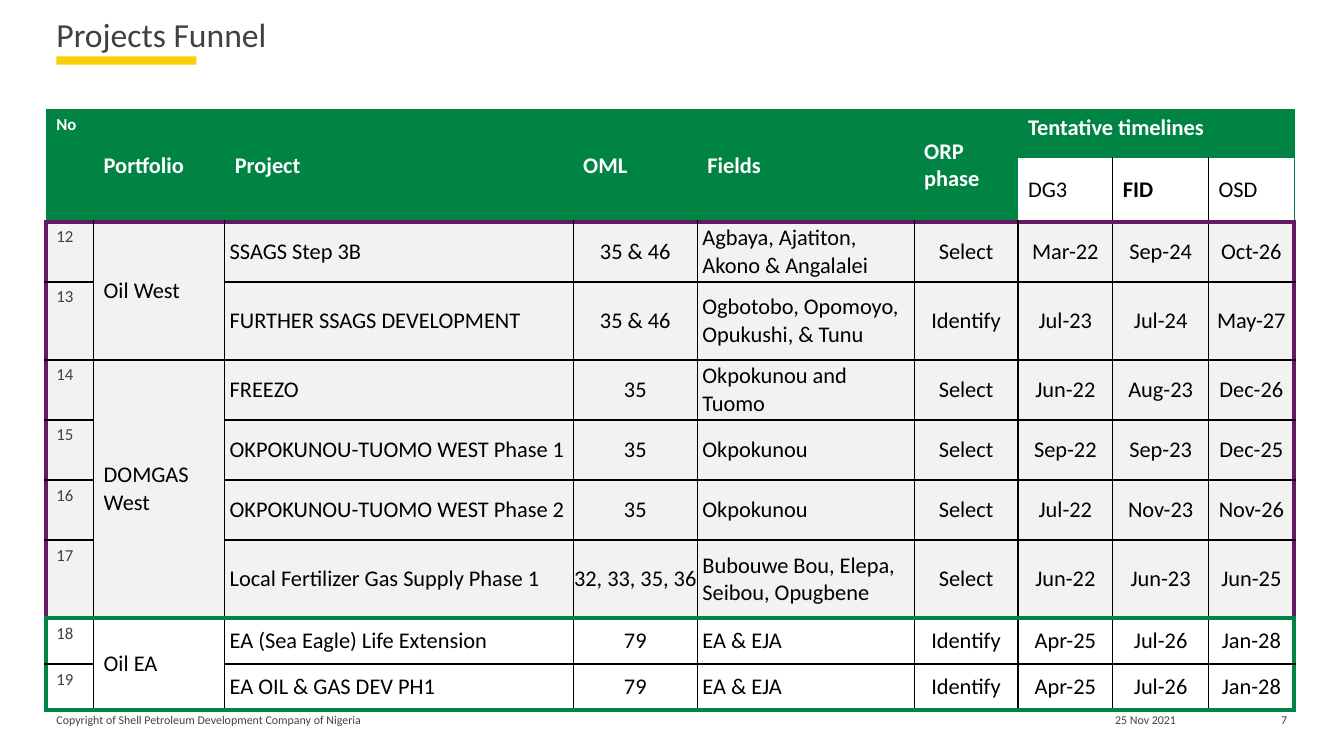
from lxml import etree
from pptx import Presentation
from pptx.dml.color import RGBColor
from pptx.enum.shapes import MSO_SHAPE
from pptx.enum.text import MSO_ANCHOR, MSO_AUTO_SIZE, PP_ALIGN
from pptx.oxml.ns import qn
from pptx.util import Pt

LEFT, CENTER, RIGHT = PP_ALIGN.LEFT, PP_ALIGN.CENTER, PP_ALIGN.RIGHT
TOP, MIDDLE = MSO_ANCHOR.TOP, MSO_ANCHOR.MIDDLE
FONT = "Calibri"
NO_STYLE = "{2D5ABB26-0587-4C30-8999-92F81FD0307C}"
COLORS = {
    "green": "008443", "purple": "641964", "yellow": "FBCE07", "band": "F2F2F2",
    "white": "FFFFFF", "black": "000000", "grey": "404040",
}

TITLE = "Projects Funnel"
HEADERS = ["No", "Portfolio", "Project", "OML", "Fields", "ORP phase"]
TIMELINES = "Tentative timelines"
GATES = ["DG3", "FID", "OSD"]
PORTFOLIOS = [("Oil West", 2), ("DOMGAS West", 4), ("Oil EA", 2)]
PROJECTS = [
    ("SSAGS Step 3B", "35 & 46", "Agbaya, Ajatiton, Akono & Angalalei",
     "Select", "Mar-22", "Sep-24", "Oct-26"),
    ("FURTHER SSAGS DEVELOPMENT", "35 & 46", "Ogbotobo, Opomoyo, Opukushi, & Tunu",
     "Identify", "Jul-23", "Jul-24", "May-27"),
    ("FREEZO", "35", "Okpokunou and Tuomo", "Select", "Jun-22", "Aug-23", "Dec-26"),
    ("OKPOKUNOU-TUOMO WEST Phase 1", "35", "Okpokunou",
     "Select", "Sep-22", "Sep-23", "Dec-25"),
    ("OKPOKUNOU-TUOMO WEST Phase 2", "35", "Okpokunou",
     "Select", "Jul-22", "Nov-23", "Nov-26"),
    ("Local Fertilizer Gas Supply Phase 1", "32, 33, 35, 36",
     "Bubouwe Bou, Elepa, Seibou, Opugbene", "Select", "Jun-22", "Jun-23", "Jun-25"),
    ("EA (Sea Eagle) Life Extension", "79", "EA & EJA",
     "Identify", "Apr-25", "Jul-26", "Jan-28"),
    ("EA OIL & GAS DEV PH1", "79", "EA & EJA", "Identify", "Apr-25", "Jul-26", "Jan-28"),
]
FOOTERS = [
    ("Copyright of Shell Petroleum Development Company of Nigeria", 40.3, 264, LEFT),
    ("25 Nov 2021", 761.8, 113, CENTER),
    ("7", 891.4, 28, RIGHT),
]

FIRST_NO = 12
HEAD_ROWS = 2
EA_ROW = 8
COL_WIDTHS = [33.8, 93.6, 248.9, 88.8, 154.8, 74.2, 67.7, 68.4, 61.2]
ROW_HEIGHTS = [34.3, 45.7, 42.9, 55.7, 42.9, 42.9, 42.9, 55.7, 32.9, 32.9]
ROWS, COLS = len(ROW_HEIGHTS), len(COL_WIDTHS)


def rgb(name):
    return RGBColor.from_string(COLORS[name])


def write(tf, text, size, color, align=LEFT, bold=False):
    p = tf.paragraphs[0]
    p.text = text
    p.alignment = align
    p.font.name, p.font.size, p.font.bold = FONT, Pt(size), bold
    p.font.color.rgb = rgb(color)


def set_margins(box, left=0, top=0, right=0, bottom=0):
    box.margin_left, box.margin_top = Pt(left), Pt(top)
    box.margin_right, box.margin_bottom = Pt(right), Pt(bottom)


def row_line(row):
    if row < HEAD_ROWS:
        return "green", 0.75
    if row == HEAD_ROWS:
        return "purple", 3
    return ("green", 3) if row in (EA_ROW, ROWS) else ("black", 1)


def column_line(row, col):
    outer = col in (0, COLS)
    if row < HEAD_ROWS:
        if outer:
            return "green", 0.75
        return ("black", 1) if row == 1 and col > COLS - len(GATES) else None
    if outer:
        return ("purple" if row < EA_ROW else "green"), 3
    return "black", 1


def draw_borders(cell, row, col):
    height = cell.span_height if cell.is_merge_origin else 1
    width = cell.span_width if cell.is_merge_origin else 1
    sides = {
        "a:lnL": column_line(row, col), "a:lnR": column_line(row, col + width),
        "a:lnT": row_line(row), "a:lnB": row_line(row + height),
    }
    tc_pr = cell._tc.get_or_add_tcPr()
    for tag, line in sides.items():
        if line:
            color, weight = line
            ln = etree.SubElement(tc_pr, qn(tag), w=str(Pt(weight)))
            fill = etree.SubElement(ln, qn("a:solidFill"))
            etree.SubElement(fill, qn("a:srgbClr"), val=COLORS[color])


def fill_table(table):
    for col, text in enumerate(HEADERS):
        cell = table.cell(0, col)
        cell.merge(table.cell(1, col))
        cell.vertical_anchor = MIDDLE if col else TOP
        write(cell.text_frame, text, 16 if col else 12, "white", bold=True)
    first_gate = len(HEADERS)
    table.cell(0, first_gate).merge(table.cell(0, COLS - 1))
    write(table.cell(0, first_gate).text_frame, TIMELINES, 16, "white", bold=True)
    for col, gate in enumerate(GATES, first_gate):
        cell = table.cell(1, col)
        cell.vertical_anchor = MIDDLE
        write(cell.text_frame, gate, 16, "black", bold=gate == "FID")

    row = HEAD_ROWS
    for name, count in PORTFOLIOS:
        cell = table.cell(row, 1)
        cell.merge(table.cell(row + count - 1, 1))
        cell.vertical_anchor = MIDDLE
        write(cell.text_frame, name, 16, "black")
        row += count

    for i, project in enumerate(PROJECTS):
        row = HEAD_ROWS + i
        write(table.cell(row, 0).text_frame, str(FIRST_NO + i), 12, "grey")
        for col, text in enumerate(project, 2):
            cell = table.cell(row, col)
            left_aligned = HEADERS[col:col + 1] in (["Project"], ["Fields"])
            set_margins(cell, left=3.6 if left_aligned else 0)
            cell.vertical_anchor = MIDDLE
            write(cell.text_frame, text, 16, "black", LEFT if left_aligned else CENTER)


def cell_fill(row, col):
    if row < HEAD_ROWS:
        return "white" if row == 1 and col >= len(HEADERS) else "green"
    return "band" if row < EA_ROW else "white"


def main():
    prs = Presentation()
    prs.slide_width, prs.slide_height = Pt(960), Pt(540)
    s = prs.slides.add_slide(prs.slide_layouts[5])

    bar = s.shapes.add_shape(MSO_SHAPE.RECTANGLE, Pt(40.3), Pt(40.3), Pt(100), Pt(5.8))
    bar.shadow.inherit = False
    bar.fill.solid()
    bar.fill.fore_color.rgb = rgb("yellow")
    bar.line.fill.background()

    title = s.shapes.title
    title.left, title.top, title.width, title.height = Pt(40.3), Pt(10), Pt(880), Pt(59)
    tf = title.text_frame
    tf.auto_size, tf.vertical_anchor = MSO_AUTO_SIZE.NONE, TOP
    set_margins(tf)
    write(tf, TITLE, 24, "grey")

    frame = s.shapes.add_table(ROWS, COLS, Pt(33.1), Pt(77.9),
                               Pt(sum(COL_WIDTHS)), Pt(sum(ROW_HEIGHTS)))
    table = frame.table
    table._tbl.tblPr.find(qn("a:tableStyleId")).text = NO_STYLE
    table.horz_banding = False
    for column, width in zip(table.columns, COL_WIDTHS):
        column.width = Pt(width)
    for table_row, height in zip(table.rows, ROW_HEIGHTS):
        table_row.height = Pt(height)
    fill_table(table)
    for row in range(ROWS):
        for col in range(COLS):
            cell = table.cell(row, col)
            if not cell.is_spanned:
                draw_borders(cell, row, col)
            cell.fill.solid()
            cell.fill.fore_color.rgb = rgb(cell_fill(row, col))

    for text, left, width, align in FOOTERS:
        tf = s.shapes.add_textbox(Pt(left), Pt(509), Pt(width), Pt(18.7)).text_frame
        tf.word_wrap = True
        set_margins(tf, bottom=3.6)
        write(tf, text, 8.5, "grey", align)

    prs.save("out.pptx")


if __name__ == "__main__":
    main()
